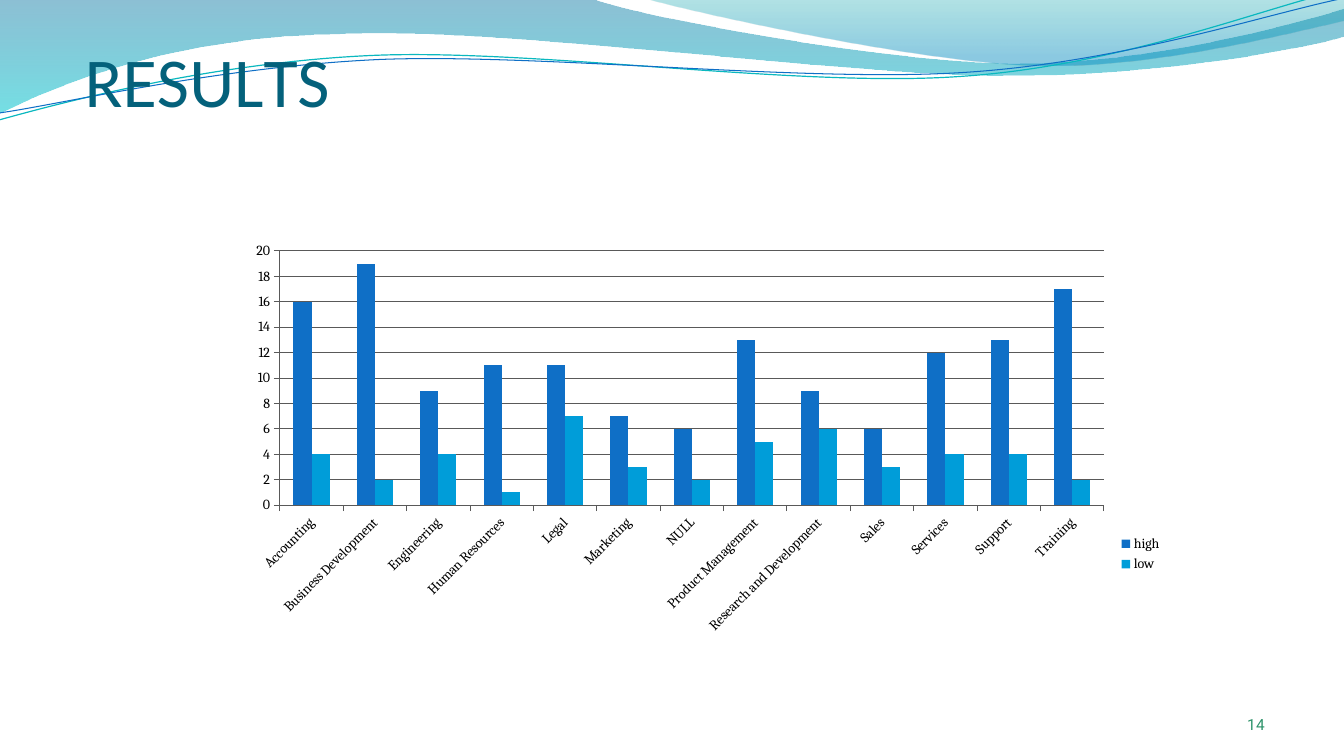
import lxml.etree
import pptx
import pptx.chart.data
import pptx.dml.color
import pptx.enum.chart
import pptx.enum.text
import pptx.oxml
import pptx.oxml.ns
import pptx.util

Inches = pptx.util.Inches
Pt = pptx.util.Pt
qn = pptx.oxml.ns.qn


def color(hex_value):
    return pptx.dml.color.RGBColor.from_string(hex_value)


class ResultsSlide:
    CHART_FONT = "Cambria"
    GRID = "595959"

    def __init__(self, presentation):
        self.slide = presentation.slides.add_slide(presentation.slide_layouts[6])

    def outline(self, start, segments, close):
        """Outline of lines (1 point) and cubic curves (3 points)."""
        points = [(Inches(x), Inches(y)) for segment in segments for x, y in segment]
        builder = self.slide.shapes.build_freeform(*map(Inches, start))
        builder.add_line_segments(points, close=close)
        shape = builder.convert_to_shape()
        shape.shadow.inherit = False
        # Join each run of three points into one curve
        lines = iter(list(shape._element.spPr.iter(qn("a:lnTo"))))
        for segment in segments:
            steps = [next(lines) for _ in segment]
            if len(steps) == 3:
                curve = lxml.etree.Element(qn("a:cubicBezTo"))
                steps[0].addprevious(curve)
                for step in steps:
                    curve.append(step[0])
                    step.getparent().remove(step)
        return shape

    def wave(self, start, segments, stops):
        """Filled band; each stop is (position, colour, opacity percent)."""
        band = self.outline(start, segments, True)
        band.line.fill.background()
        band.fill.gradient()
        band.fill.gradient_angle = 270
        for stop, (position, hex_value, _) in zip(band.fill.gradient_stops, stops):
            stop.position = position
            stop.color.rgb = color(hex_value)
        fill_colors = band._element.spPr.iter(qn("a:srgbClr"))
        for fill_color, (_, _, opacity) in zip(fill_colors, stops):
            lxml.etree.SubElement(fill_color, qn("a:alpha")).set("val", str(opacity * 1000))

    def ripple(self, start, segments, hex_value, width):
        line = self.outline(start, segments, False)
        line.fill.background()
        line.line.color.rgb = color(hex_value)
        line.line.width = Pt(width)

    def text(self, box, runs, font, size, hex_value, indent, before, anchor):
        """Text line; each run is (text, letter spacing in points)."""
        frame = self.slide.shapes.add_textbox(*map(Inches, box)).text_frame
        frame.word_wrap = True
        frame.vertical_anchor = anchor
        frame.margin_left = frame.margin_right = frame.margin_bottom = 0
        frame.margin_top = Inches(0.01)
        paragraph = frame.paragraphs[0]
        paragraph.space_before = Pt(before)
        paragraph._p.get_or_add_pPr().set("marL", str(Inches(indent)))
        paragraph.font.name = font
        paragraph.font.size = Pt(size)
        paragraph.font.color.rgb = color(hex_value)
        for content, spacing in runs:
            run = paragraph.add_run()
            run.text = content
            run._r.get_or_add_rPr().set("spc", str(round(spacing * 100)))

    @staticmethod
    def place(parent, **values):
        """Set a manual layout on the plot area or the legend."""
        layout = parent.find(qn("c:layout"))
        if layout is None:
            layout = lxml.etree.Element(qn("c:layout"))
            position = parent.find(qn("c:legendPos"))
            if position is None:
                parent.insert(0, layout)
            else:
                position.addnext(layout)
        for child in list(layout):
            layout.remove(child)
        manual = lxml.etree.SubElement(layout, qn("c:manualLayout"))
        for key, value in values.items():
            lxml.etree.SubElement(manual, qn("c:" + key)).set("val", str(value))

    def columns(self, box, categories, series):
        """Clustered columns; each series is (name, colour, values)."""
        data = pptx.chart.data.CategoryChartData()
        data.categories = categories
        for name, _, values in series:
            data.add_series(name, values)
        chart = self.slide.shapes.add_chart(
            pptx.enum.chart.XL_CHART_TYPE.COLUMN_CLUSTERED, *map(Inches, box), data).chart
        chart.has_title = False
        chart.font.name = self.CHART_FONT
        chart.font.size = Pt(10)
        chart.font.color.rgb = color("000000")

        plot = chart.plots[0]
        plot.gap_width = 150
        plot.overlap = 0
        plot.vary_by_categories = False
        for column, (_, hex_value, _) in zip(plot.series, series):
            column.format.fill.solid()
            column.format.fill.fore_color.rgb = color(hex_value)

        departments, counts = chart.category_axis, chart.value_axis
        counts.minimum_scale, counts.maximum_scale, counts.major_unit = 0, 20, 2
        counts.has_major_gridlines = True
        for axis in (departments, counts):
            axis.major_tick_mark = pptx.enum.chart.XL_TICK_MARK.OUTSIDE
            axis.tick_labels.font.size = Pt(10)
        for line in (departments.format.line, counts.format.line,
                     counts.major_gridlines.format.line):
            line.color.rgb = color(self.GRID)
            line.width = Pt(0.75)
        departments._element.find(qn("c:txPr")).find(qn("a:bodyPr")).set("rot", "-2700000")

        chart.has_legend = True
        chart.legend.position = pptx.enum.chart.XL_LEGEND_POSITION.RIGHT
        chart.legend.include_in_layout = False
        self.place(chart.legend._element, xMode="edge", yMode="edge",
                   x=0.877, y=0.7, w=0.06, h=0.08)
        self.place(chart._chartSpace.chart.plotArea, layoutTarget="inner",
                   xMode="edge", yMode="edge", x=0.104, y=0.206, w=0.769, h=0.448)


def main():
    presentation = pptx.Presentation()
    presentation.slide_width = Inches(13.33)
    presentation.slide_height = Inches(7.5)
    results = ResultsSlide(presentation)

    # Wave header
    results.wave((0, 0), [
        [(5.87, -0.01)],
        [(6.34, 0.17), (8.85, 0.63), (10.11, 0.63)],
        [(11.38, 0.63), (12.78, 0.26), (13.33, 0.09)],
        [(13.35, 0.36)],
        [(13.11, 0.44), (11.6, 0.76), (9.94, 0.75)],
        [(8.29, 0.75), (5.09, 0.28), (3.43, 0.34)],
        [(1.72, 0.36), (0.61, 0.83), (-0.01, 1.13)],
    ], [(0, "0074A1", 45), (1, "00C6CF", 55)])
    results.wave((6.39, -0.01), [
        [(6.79, 0.11), (9.09, 0.62), (10.25, 0.65)],
        [(11.41, 0.69), (12.82, 0.32), (13.33, 0.21)],
        [(13.33, 0)],
    ], [(0, "00A1A9", 30), (0.8, "008BBF", 45)])
    results.ripple((-0.01, 1.19), [
        [(0.64, 1.01), (2.11, 0.62), (3.69, 0.55)],
        [(5.27, 0.48), (7.9, 0.87), (9.5, 0.76)],
        [(11.1, 0.66), (12.52, 0.08), (13.31, -0.1)],
    ], "0AB8BF", 0.85)
    results.ripple((0, 1.12), [
        [(0.63, 1.03), (2.18, 0.66), (3.78, 0.59)],
        [(5.37, 0.53), (7.96, 0.82), (9.55, 0.72)],
        [(11.15, 0.62), (12.55, 0.14), (13.34, -0.02)],
    ], "0F6FC6", 0.75)

    # Title and page number
    anchors = pptx.enum.text.MSO_ANCHOR
    title = [("R", 0), ("E", -0.4), ("S", 0.1), ("U", -0.3), ("L", -4), ("TS", 0)]
    results.text((0.83, 0.42, 2.67, 0.79), title, "Calibri", 50, "04617B",
                 0.01, 1.1, anchors.BOTTOM)
    results.text((12.33, 7.08, 0.25, 0.19), [("14", 0.1)], "Roboto", 11, "2D936B",
                 0.04, 0.6, anchors.TOP)

    # Results by department
    departments = ["Accounting", "Business Development", "Engineering", "Human Resources",
                   "Legal", "Marketing", "NULL", "Product Management",
                   "Research and Development", "Sales", "Services", "Support", "Training"]
    results.columns((1.67, 1.33, 10.63, 5.63), departments, [
        ("high", "0F6FC6", [16, 19, 9, 11, 11, 7, 6, 13, 9, 6, 12, 13, 17]),
        ("low", "009DD9", [4, 2, 4, 1, 7, 3, 2, 5, 6, 3, 4, 4, 2]),
    ])

    presentation.save("out.pptx")


if __name__ == "__main__":
    main()
